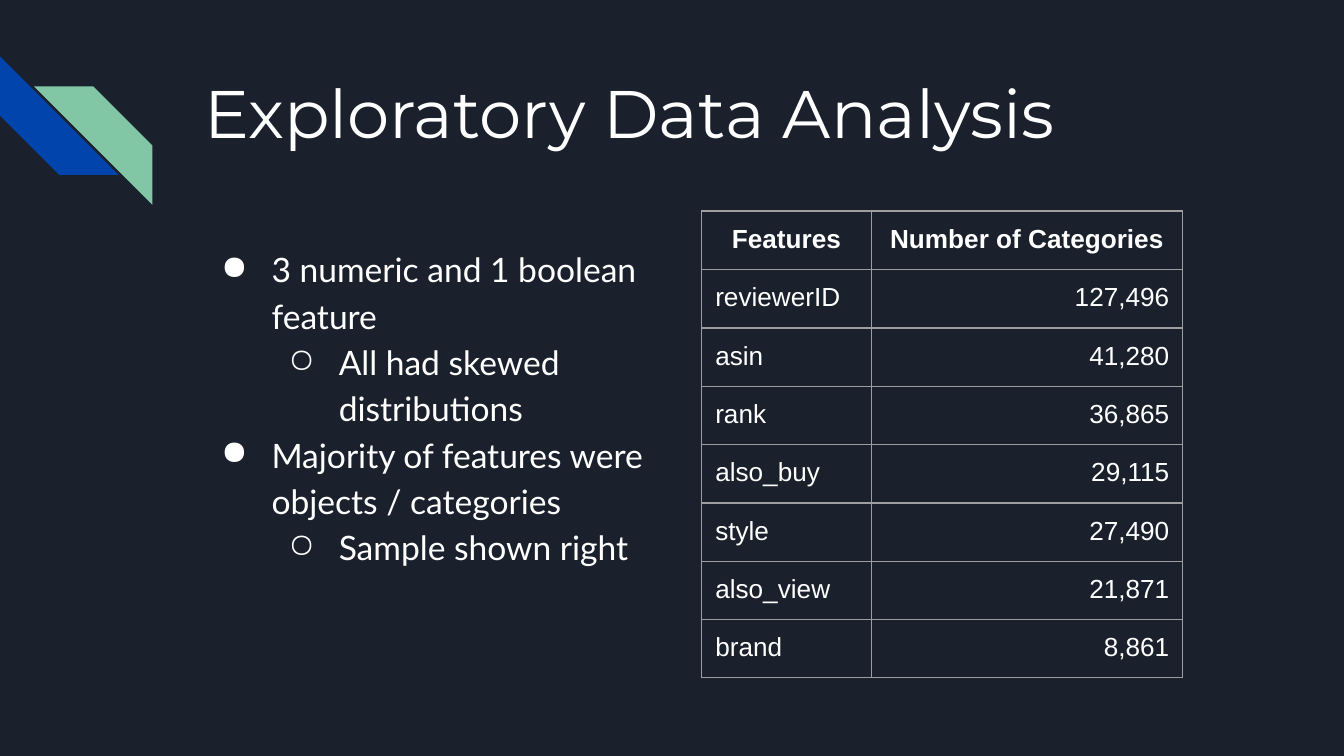
from typing import NamedTuple

import lxml.etree
import pptx
import pptx.dml.color
import pptx.enum.shapes
import pptx.enum.text
import pptx.oxml.ns
import pptx.util

Pt = pptx.util.Pt
Align = pptx.enum.text.PP_ALIGN
WHITE = "FFFFFF"
BACKGROUND = "1B212C"
BORDER = "9E9E9E"
PADDING = 7.2
STRIPE_SIZE = 63.5


class Stripe(NamedTuple):
    left: float
    top: float
    color: str
    rotation: float = 0
    flipped: bool = False


class Bullet(NamedTuple):
    text: str
    level: int = 0


class Feature(NamedTuple):
    name: str
    categories: str


STRIPES = [
    Stripe(0, 30.2, "0145AC", rotation=270),
    Stripe(18.2, 46.3, "82C7A5", flipped=True),
]
BULLETS = [
    Bullet("3 numeric and 1 boolean feature"),
    Bullet("All had skewed distributions", 1),
    Bullet("Majority of features were objects / categories"),
    Bullet("Sample shown right", 1),
]
FEATURES = [
    Feature("Features", "Number of Categories"),
    Feature("reviewerID", "127,496"),
    Feature("asin", "41,280"),
    Feature("rank", "36,865"),
    Feature("also_buy", "29,115"),
    Feature("style", "27,490"),
    Feature("also_view", "21,871"),
    Feature("brand", "8,861"),
]
COLUMN_WIDTHS = [90.7, 167]
ROW_HEIGHTS = [31.5, 31] + [30.2] * 6


def rgb(color: str) -> pptx.dml.color.RGBColor:
    return pptx.dml.color.RGBColor.from_string(color)


def add_xml(parent, tag: str, **attributes: str):
    return lxml.etree.SubElement(parent, pptx.oxml.ns.qn(tag), attributes)


def write(paragraph, text: str, *, font: str, size: float, bold: bool = False,
          color: str = WHITE, align=Align.LEFT, spacing: float = 1.0) -> None:
    paragraph.alignment = align
    paragraph.line_spacing = spacing
    run = paragraph.add_run()
    run.text = text
    run.font.name = font
    run.font.size = Pt(size)
    run.font.bold = bold
    run.font.color.rgb = rgb(color)


def add_text_frame(slide, left: float, top: float, width: float, height: float):
    shape = slide.shapes.add_textbox(Pt(left), Pt(top), Pt(width), Pt(height))
    frame = shape.text_frame
    frame.word_wrap = True
    frame.margin_left = frame.margin_right = Pt(PADDING)
    frame.margin_top = frame.margin_bottom = Pt(PADDING)
    return frame


def add_stripe(slide, stripe: Stripe) -> None:
    shape = slide.shapes.add_shape(
        pptx.enum.shapes.MSO_SHAPE.DIAGONAL_STRIPE,
        Pt(stripe.left), Pt(stripe.top), Pt(STRIPE_SIZE), Pt(STRIPE_SIZE))
    shape.shadow.inherit = False
    shape.fill.solid()
    shape.fill.fore_color.rgb = rgb(stripe.color)
    shape.line.fill.background()
    shape.rotation = stripe.rotation
    if stripe.flipped:
        shape.element.spPr.xfrm.set("flipH", "1")


def add_bullet(paragraph, bullet: Bullet) -> None:
    paragraph.level = bullet.level
    write(paragraph, bullet.text, font="Lato", size=18, spacing=1.15)
    properties = paragraph._p.get_or_add_pPr()
    properties.set("marL", str(Pt(36 * (bullet.level + 1))))
    properties.set("indent", str(Pt(-27)))
    bullet_color = add_xml(properties, "a:buClr")
    add_xml(bullet_color, "a:srgbClr", val=WHITE)
    add_xml(properties, "a:buChar", char="●○"[bullet.level])


def add_borders(cell) -> None:
    properties = cell._tc.get_or_add_tcPr()
    for position, side in enumerate(("a:lnL", "a:lnR", "a:lnT", "a:lnB")):
        line = add_xml(properties, side, w=str(Pt(0.75)))
        fill = add_xml(line, "a:solidFill")
        add_xml(fill, "a:srgbClr", val=BORDER)
        properties.insert(position, line)


def add_feature_table(slide, left: float, top: float) -> None:
    table = slide.shapes.add_table(
        len(FEATURES), len(COLUMN_WIDTHS), Pt(left), Pt(top),
        Pt(sum(COLUMN_WIDTHS)), Pt(sum(ROW_HEIGHTS))).table
    table.first_row = table.horz_banding = False
    for column, width in zip(table.columns, COLUMN_WIDTHS):
        column.width = Pt(width)
    for row_index, (feature, height) in enumerate(zip(FEATURES, ROW_HEIGHTS)):
        table.rows[row_index].height = Pt(height)
        is_header = row_index == 0
        for column_index, text in enumerate(feature):
            cell = table.cell(row_index, column_index)
            cell.margin_left = cell.margin_right = Pt(PADDING)
            cell.margin_top = cell.margin_bottom = Pt(PADDING)
            cell.fill.background()
            add_borders(cell)
            align = Align.CENTER if is_header else (Align.LEFT, Align.RIGHT)[column_index]
            write(cell.text_frame.paragraphs[0], text, font="Arial", size=14,
                  bold=is_header, align=align)


def main() -> None:
    presentation = pptx.Presentation()
    presentation.slide_width = Pt(720)
    presentation.slide_height = Pt(405)
    slide = presentation.slides.add_slide(presentation.slide_layouts[6])
    slide.background.fill.solid()
    slide.background.fill.fore_color.rgb = rgb(BACKGROUND)

    # Corner decoration
    for stripe in STRIPES:
        add_stripe(slide, stripe)

    # Title
    title = add_text_frame(slide, 102.4, 31, 554.4, 72)
    write(title.paragraphs[0], "Exploratory Data Analysis", font="Montserrat", size=36)

    # Bullet list
    body = add_text_frame(slide, 102.4, 123.1, 267.8, 229)
    for index, bullet in enumerate(BULLETS):
        paragraph = body.add_paragraph() if index else body.paragraphs[0]
        add_bullet(paragraph, bullet)

    # Feature table
    add_feature_table(slide, 376, 113)

    presentation.save("out.pptx")


if __name__ == "__main__":
    main()
